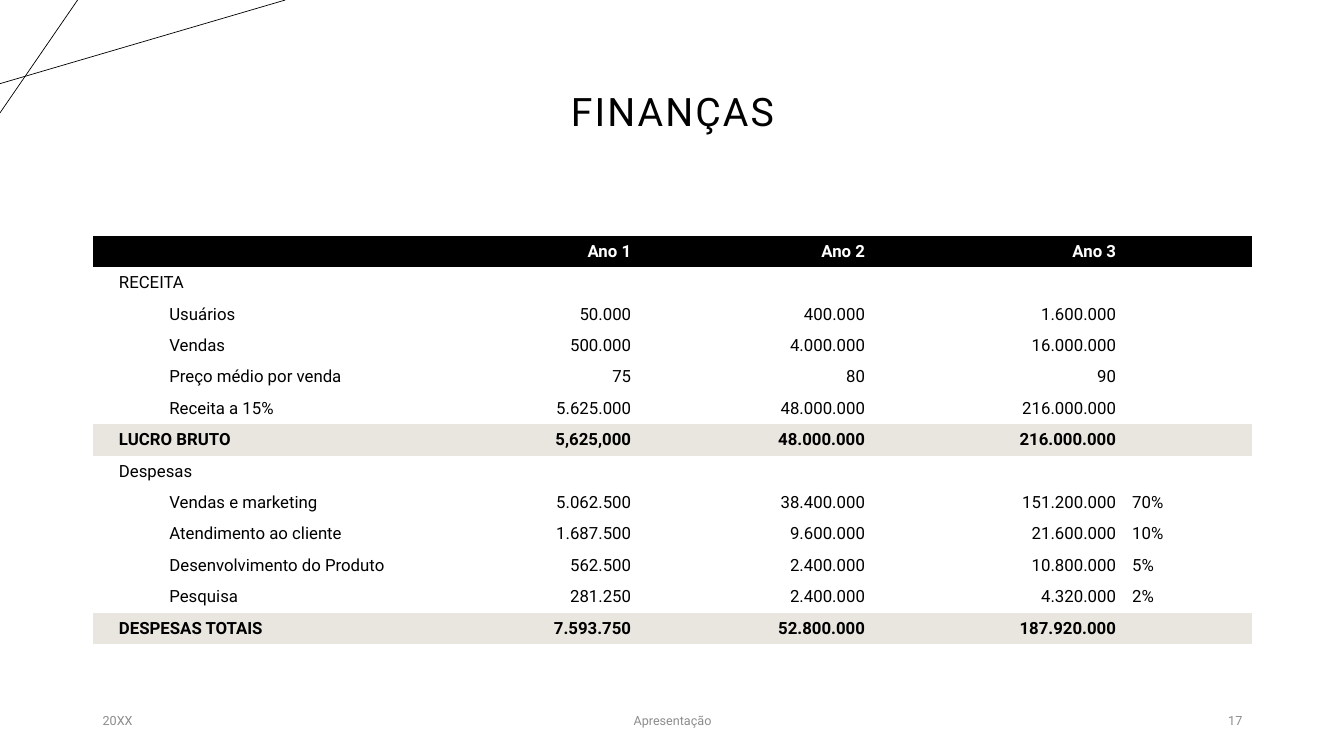
from lxml.etree import SubElement
from pptx import Presentation
from pptx.dml.color import RGBColor
from pptx.enum.shapes import MSO_CONNECTOR as Connector
from pptx.enum.text import MSO_ANCHOR as Anchor, PP_ALIGN as Align
from pptx.oxml.ns import qn
from pptx.util import Pt

SCALE = 9144
FONT = "Roboto"
BLACK, WHITE, GREY, BEIGE = "000000", "FFFFFF", "8C8C8C", "E9E6DF"
NO_STYLE = "{2D5ABB26-0587-4C30-8999-92F81FD0307C}"

COLUMN_WIDTHS = [354, 188, 232, 249, 127]
FINANCES = [
    ("header", ["", "Ano 1", "Ano 2", "Ano 3", ""]),
    ("section", ["RECEITA", "", "", "", ""]),
    ("item", ["Usuários", "50.000", "400.000", "1.600.000", ""]),
    ("item", ["Vendas", "500.000", "4.000.000", "16.000.000", ""]),
    ("item", ["Preço médio por venda", "75", "80", "90", ""]),
    ("item", ["Receita a 15%", "5.625.000", "48.000.000", "216.000.000", ""]),
    ("total", ["LUCRO BRUTO", "5,625,000", "48.000.000", "216.000.000", ""]),
    ("section", ["Despesas", "", "", "", ""]),
    ("item", ["Vendas e marketing", "5.062.500", "38.400.000", "151.200.000", "70%"]),
    ("item", ["Atendimento ao cliente", "1.687.500", "9.600.000", "21.600.000", "10%"]),
    ("item", ["Desenvolvimento do Produto", "562.500", "2.400.000", "10.800.000", "5%"]),
    ("item", ["Pesquisa", "281.250", "2.400.000", "4.320.000", "2%"]),
    ("total", ["DESPESAS TOTAIS", "7.593.750", "52.800.000", "187.920.000", ""]),
]
ROW_FILLS = {"header": BLACK, "total": BEIGE}


def px(length):
    """Turn px into EMU."""
    return length * SCALE


def color(hex_code):
    """Turn a hex string into a colour."""
    return RGBColor.from_string(hex_code)


def format_paragraph(paragraph, size, hex_code, align, bold=False):
    """Align a paragraph and style its runs."""
    paragraph.alignment = align
    for run in paragraph.runs:
        run.font.name = FONT
        run.font.size = Pt(size)
        run.font.bold = bold
        run.font.color.rgb = color(hex_code)


def add_corner_line(slide, start, end):
    """Draw one thin decorative line."""
    line = slide.shapes.add_connector(Connector.STRAIGHT, *map(px, start + end))
    line.line.color.rgb = color(BLACK)
    line.line.width = Pt(0.5)
    SubElement(line._element.spPr, qn("a:effectLst"))


def set_title(slide, wording):
    """Place and format the title placeholder."""
    title = slide.shapes.title
    title.left, title.top, title.width, title.height = map(px, (92, 40, 1150, 145))
    frame = title.text_frame
    frame.text = wording
    frame.vertical_anchor = Anchor.MIDDLE
    heading = frame.paragraphs[0]
    heading.line_spacing = 0.9
    format_paragraph(heading, 28, BLACK, Align.CENTER)
    heading.runs[0].font._element.set("spc", "150")


def fill_cell(cell, wording, kind, column):
    """Write one table cell in the style of its row and column."""
    if kind in ROW_FILLS:
        cell.fill.solid()
        cell.fill.fore_color.rgb = color(ROW_FILLS[kind])
    else:
        cell.fill.background()
    cell.vertical_anchor = Anchor.MIDDLE
    cell.margin_left = px(26 if column == 0 else 8)
    cell.margin_right = px(8)
    cell.margin_top = cell.margin_bottom = px(4)
    entry = cell.text_frame.paragraphs[0]
    if not wording:
        SubElement(entry._p, qn("a:endParaRPr"), sz="1200")
        return
    entry.text = wording
    align = Align.RIGHT if column in (1, 2, 3) else Align.LEFT
    ink = WHITE if kind == "header" else BLACK
    format_paragraph(entry, 12, ink, align, kind in ROW_FILLS)
    if kind == "item" and column == 0:
        entry.level = 1
        properties = entry._p.get_or_add_pPr()
        properties.set("marL", str(px(50)))
        properties.set("indent", "0")


def add_finance_table(slide):
    """Build the table of revenue and expenses."""
    frame = slide.shapes.add_table(
        len(FINANCES), len(COLUMN_WIDTHS), *map(px, (92, 234, 1150, 405)))
    table = frame.table
    table.horz_banding = False
    table.first_row = False
    table._tbl.tblPr.find(qn("a:tableStyleId")).text = NO_STYLE
    for column, width in zip(table.columns, COLUMN_WIDTHS):
        column.width = px(width)
    for row, (kind, entries) in zip(table.rows, FINANCES):
        row.height = px(405) // len(FINANCES)
        for index, wording in enumerate(entries):
            fill_cell(row.cells[index], wording, kind, index)


def add_footer(slide, wording, left, width, align):
    """Add one grey footer text."""
    footer = slide.shapes.add_textbox(*map(px, (left, 695, width, 40)))
    frame = footer.text_frame
    frame.word_wrap = True
    frame.vertical_anchor = Anchor.MIDDLE
    frame.text = wording
    format_paragraph(frame.paragraphs[0], 9, GREY, align)


def main():
    """Build and save the finance slide."""
    deck = Presentation()
    deck.slide_width, deck.slide_height = px(1333), px(750)
    slide = deck.slides.add_slide(deck.slide_layouts[5])
    slide.background.fill.solid()
    slide.background.fill.fore_color.rgb = color(WHITE)
    add_corner_line(slide, (0, 83), (283, 0))
    add_corner_line(slide, (77, 0), (0, 112))
    set_title(slide, "FINANÇAS")
    add_finance_table(slide)
    add_footer(slide, "20XX", 92, 300, Align.LEFT)
    add_footer(slide, "Apresentação", 442, 450, Align.CENTER)
    add_footer(slide, "17", 942, 300, Align.RIGHT)
    deck.save("out.pptx")


if __name__ == "__main__":
    main()
